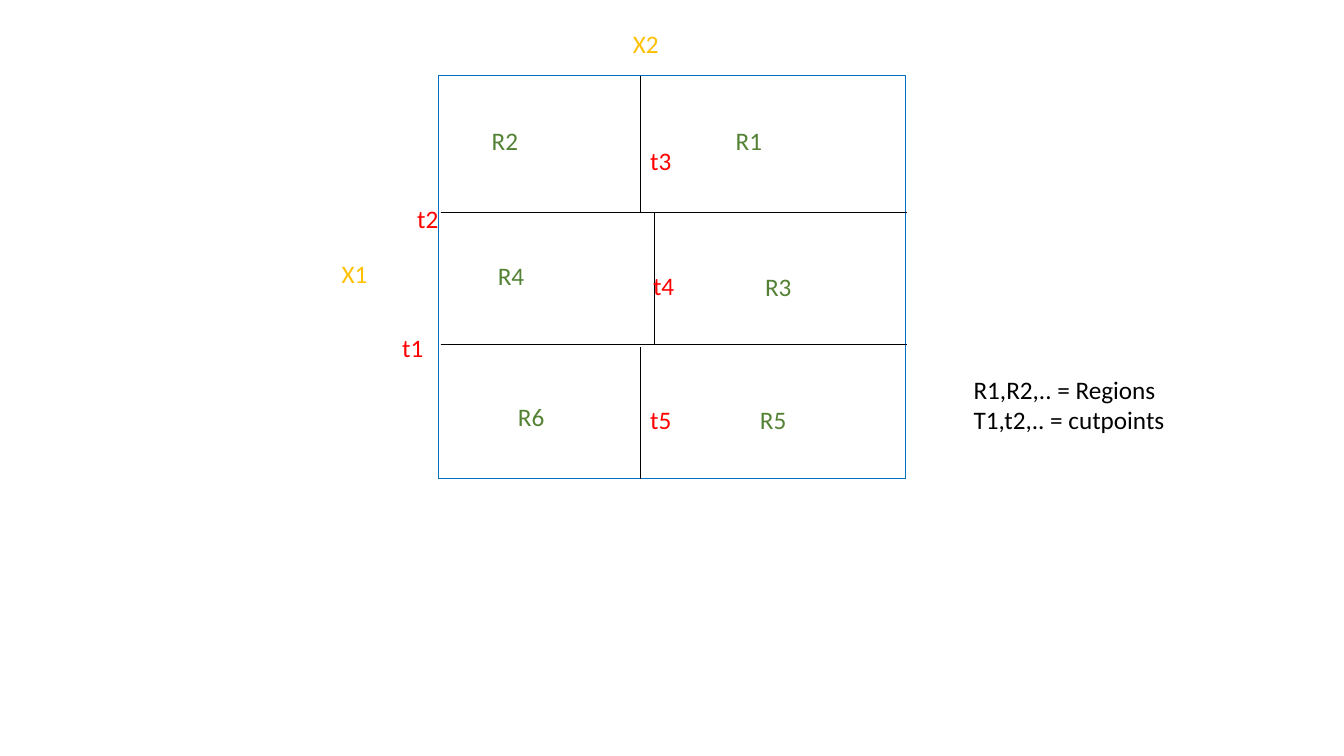
from pptx import Presentation
from pptx.dml.color import RGBColor
from pptx.enum.shapes import MSO_CONNECTOR, MSO_SHAPE
from pptx.enum.text import MSO_AUTO_SIZE
from pptx.oxml.ns import qn
from pptx.util import Inches, Pt
from lxml.etree import SubElement

BLUE, BLACK, WHITE = "0070C0", "000000", "FFFFFF"
GOLD, GREEN, RED = "FFC000", "548235", "FF0000"


def color(hex_text):
    return RGBColor.from_string(hex_text)


class Diagram:
    """Draws on one slide; lengths are percent of its width and height."""

    font = "Calibri"
    size = 18

    def __init__(self, deck):
        self.deck = deck
        self.page = deck.slides.add_slide(deck.slide_layouts[6])

    def place(self, *lengths):
        """Turn alternating horizontal and vertical percents into lengths."""
        sides = (self.deck.slide_width, self.deck.slide_height)
        return [round(length * sides[i % 2] / 100) for i, length in enumerate(lengths)]

    def frame(self, left, top, width, height, line, weight):
        box = self.page.shapes.add_shape(
            MSO_SHAPE.RECTANGLE, *self.place(left, top, width, height))
        box.shadow.inherit = False
        box.fill.solid()
        box.fill.fore_color.rgb = color(WHITE)
        box.line.color.rgb = color(line)
        box.line.width = Pt(weight)

    def divider(self, x1, y1, x2, y2, line=BLACK, weight=0.5):
        connector = self.page.shapes.add_connector(
            MSO_CONNECTOR.STRAIGHT, *self.place(x1, y1, x2, y2))
        connector.line.color.rgb = color(line)
        connector.line.width = Pt(weight)
        SubElement(connector._element.spPr, qn("a:effectLst"))

    def text(self, words, left, top, width, height=5.39, fill=BLACK):
        box = self.page.shapes.add_textbox(*self.place(left, top, width, height))
        body = box.text_frame
        body.word_wrap = True
        body.auto_size = MSO_AUTO_SIZE.SHAPE_TO_FIT_TEXT
        for index, line in enumerate(words.split("\n")):
            para = body.add_paragraph() if index else body.paragraphs[0]
            span = para.add_run()
            span.text = line
            span.font.name = self.font
            span.font.size = Pt(self.size)
            span.font.color.rgb = color(fill)


def main():
    deck = Presentation()
    deck.slide_width, deck.slide_height = Inches(13.33), Inches(7.5)
    diagram = Diagram(deck)

    left, right, top, bottom = 32.78, 67.5, 10, 63.33
    upper_cut, lower_cut = 28.13, 45.6
    outer_split, middle_split = 47.63, 48.68

    diagram.frame(32.63, top, 34.73, bottom - top, line=BLUE, weight=1)
    for cut in (upper_cut, lower_cut):
        diagram.divider(left, cut, right, cut)
    for split, start, end in (
        (outer_split, top, upper_cut),
        (middle_split, upper_cut, lower_cut),
        (outer_split, 45.87, bottom),
    ):
        diagram.divider(split, start, split, end)

    diagram.text("X2", 46.35, 3.07, 13.8, fill=GOLD)
    diagram.text("X1", 24.68, 33.47, 11.18, fill=GOLD)

    regions = {
        "R2": (35.85, 15.87), "R1": (54, 15.87),
        "R4": (36.3, 33.73), "R3": (56.18, 35.2),
        "R6": (37.8, 52.4), "R5": (55.8, 52.8),
    }
    cutpoints = {
        "t3": (outer_split, 18.53), "t2": (30.3, 26.27),
        "t4": (47.85, 35.07), "t1": (29.18, 43.33),
        "t5": (outer_split, 52.8),
    }
    for labels, width, fill in ((regions, 8.48, GREEN), (cutpoints, 4.73, RED)):
        for name, corner in labels.items():
            diagram.text(name, *corner, width, fill=fill)

    diagram.text("R1,R2,.. = Regions\nT1,t2,.. = cutpoints", 71.7, 48.8, 18.15, 9.47)
    deck.save("out.pptx")


if __name__ == "__main__":
    main()
